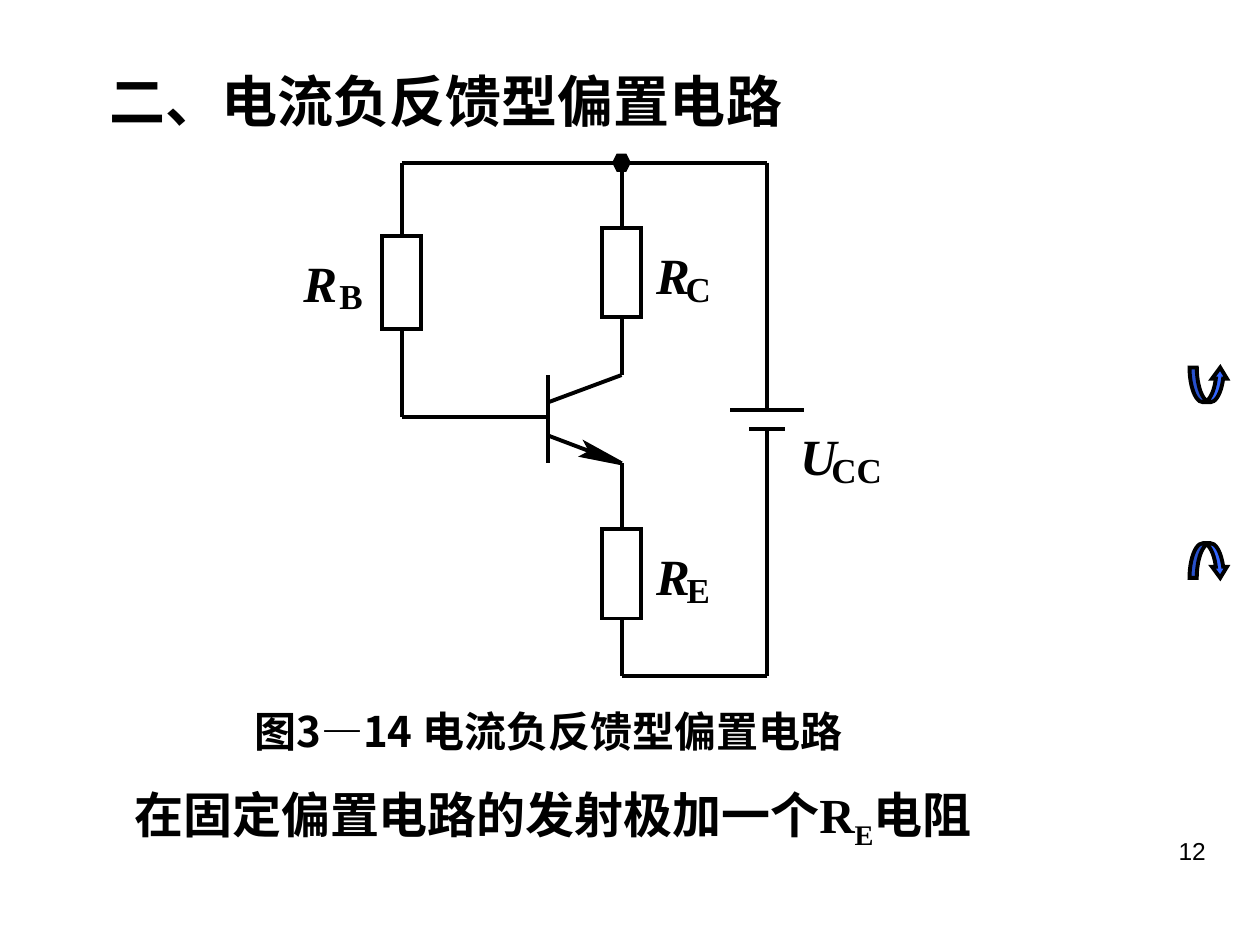
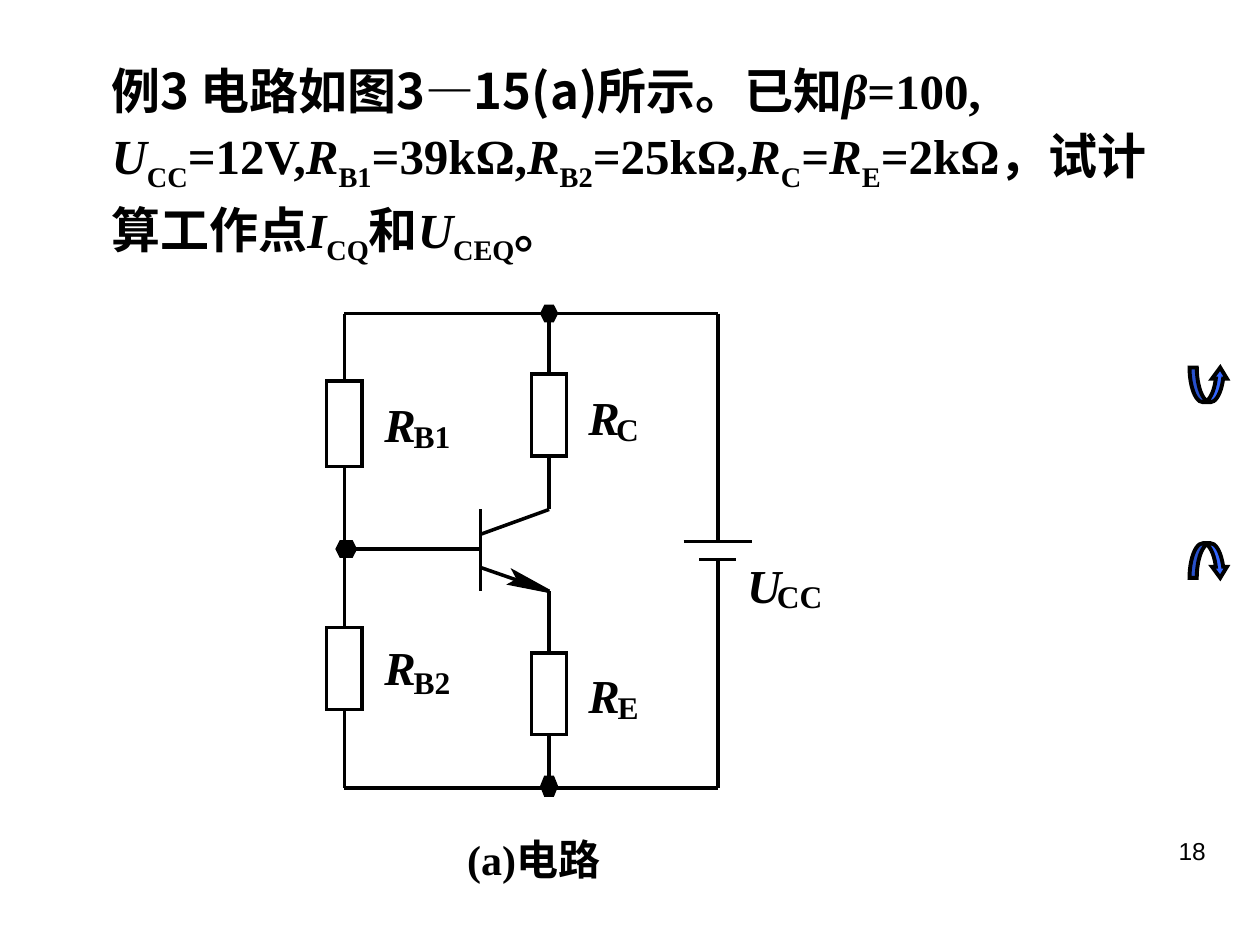
from dataclasses import dataclass

from lxml import etree
from pptx import Presentation
from pptx.dml.color import RGBColor
from pptx.enum.shapes import MSO_CONNECTOR, MSO_SHAPE
from pptx.enum.text import MSO_ANCHOR, MSO_AUTO_SIZE, PP_ALIGN
from pptx.oxml.ns import qn
from pptx.util import Cm, Pt

STRAIGHT = MSO_CONNECTOR.STRAIGHT
RECTANGLE, HEXAGON = MSO_SHAPE.RECTANGLE, MSO_SHAPE.HEXAGON
ARROW_UP, ARROW_DOWN = MSO_SHAPE.CURVED_UP_ARROW, MSO_SHAPE.CURVED_DOWN_ARROW
TOP, MIDDLE, BOTTOM = MSO_ANCHOR.TOP, MSO_ANCHOR.MIDDLE, MSO_ANCHOR.BOTTOM
LEFT, CENTER, RIGHT = PP_ALIGN.LEFT, PP_ALIGN.CENTER, PP_ALIGN.RIGHT
TITLE_ONLY = 5


@dataclass(frozen=True)
class Theme:
    ink: RGBColor = RGBColor(0x00, 0x00, 0x00)
    paper: RGBColor = RGBColor(0xFF, 0xFF, 0xFF)
    arrow: RGBColor = RGBColor(0x33, 0x66, 0xFF)
    serif: str = "Times New Roman"
    chinese: str = "Noto Sans CJK SC"
    sans: str = "Arial"
    title: float = 32
    body: float = 28
    caption: float = 24
    number: float = 14
    outline: float = 2.25


THEME = Theme()

# Letter widths of the label face, in ems
LETTER_WIDTH = {"R": 0.667, "U": 0.722, "B": 0.667, "C": 0.722,
                "E": 0.667, "1": 0.5, "2": 0.5}


@dataclass(frozen=True)
class Circuit:
    """Key positions of one circuit in cm, with its pen and label sizes."""
    left: float
    bar: float
    column: float
    right: float
    top: float
    collector: float
    base: float
    emitter: float
    bottom: float
    plates: tuple        # y of the long and the short battery plate
    plate_halves: tuple  # half lengths of both plates
    resistor_width: float
    pen: float
    symbol: float
    subscript: float
    divider: bool        # the left branch runs on to the bottom rail


# ---- Text ----

def add_run(paragraph, text, size, face=THEME.serif, bold=True,
            italic=False, sub=False):
    run = paragraph.add_run()
    run.text = text
    font = run.font
    font.name, font.size, font.bold, font.italic = face, Pt(size), bold, italic
    font.color.rgb = THEME.ink
    properties = font._element
    if sub:
        properties.set("baseline", "-25000")
    etree.SubElement(properties, qn("a:ea")).set("typeface", THEME.chinese)


def format_frame(shape, align=LEFT, anchor=TOP, wrap=True, inset=True):
    frame = shape.text_frame
    frame.auto_size = MSO_AUTO_SIZE.NONE
    frame.word_wrap = wrap
    frame.vertical_anchor = anchor
    frame.margin_left = frame.margin_right = Cm(0.25 if inset else 0)
    frame.margin_top = frame.margin_bottom = Cm(0.13 if inset else 0)
    paragraph = frame.paragraphs[0]
    paragraph.alignment = align
    paragraph.space_before = Pt(0)
    return paragraph


def text_box(slide, x, y, width, height, **layout):
    box = slide.shapes.add_textbox(Cm(x), Cm(y), Cm(width), Cm(height))
    return format_frame(box, **layout)


def title_paragraph(slide, x, y, width, height, **layout):
    title = slide.shapes.title
    title.left, title.top = Cm(x), Cm(y)
    title.width, title.height = Cm(width), Cm(height)
    return format_frame(title, **layout)


# ---- Drawing ----

def paint(shape, fill, pen):
    shape.shadow.inherit = False
    shape.fill.solid()
    shape.fill.fore_color.rgb = fill
    shape.line.color.rgb = THEME.ink
    shape.line.width = Pt(pen)
    # Sharp corners
    outline = shape._element.spPr.find(qn("a:ln"))
    etree.SubElement(outline, qn("a:miter")).set("lim", "800000")


def add_preset(slide, preset, x, y, width, height, fill, pen):
    shape = slide.shapes.add_shape(preset, Cm(x), Cm(y), Cm(width), Cm(height))
    paint(shape, fill, pen)
    return shape


def wire(slide, pen, x1, y1, x2, y2):
    line = slide.shapes.add_connector(STRAIGHT, Cm(x1), Cm(y1), Cm(x2), Cm(y2))
    line.line.color.rgb = THEME.ink
    line.line.width = Pt(pen)
    etree.SubElement(line._element.spPr, qn("a:effectLst"))


def resistor(slide, circuit, x, y, height):
    width = circuit.resistor_width
    add_preset(slide, RECTANGLE, x - width / 2, y, width, height,
               THEME.paper, circuit.pen)


def junction(slide, circuit, x, y, width=0.29, height=0.29):
    add_preset(slide, HEXAGON, x - width / 2, y - height / 2, width, height,
               THEME.ink, circuit.pen)


def label(slide, circuit, symbol, subscript, x, y, shift, drop):
    parts = ((symbol, circuit.symbol, x, y, True),
             (subscript, circuit.subscript, x + shift, y + drop, False))
    for text, size, left, top, italic in parts:
        ems = sum(LETTER_WIDTH[letter] for letter in text)
        paragraph = text_box(slide, left, top, ems * size * 2.54 / 72,
                             size * 0.042, align=CENTER, anchor=BOTTOM,
                             wrap=False, inset=False)
        add_run(paragraph, text, size, italic=italic)


def transistor(slide, circuit):
    c = circuit
    wire(slide, c.pen, c.bar, c.collector, c.bar, c.emitter)
    wire(slide, c.pen, c.bar, c.base - 0.3, c.column, c.collector)
    wire(slide, c.pen, c.bar, c.base + 0.37, c.column, c.emitter)
    # Emitter arrowhead
    outline = [(-0.76, -0.15), (-0.61, -0.23), (-0.69, -0.38), (0, 0)]
    points = [(Cm(c.column + dx), Cm(c.emitter + dy)) for dx, dy in outline]
    builder = slide.shapes.build_freeform(*points[0])
    builder.add_line_segments(points[1:], close=True)
    paint(builder.convert_to_shape(), THEME.ink, c.pen)


def draw_circuit(slide, circuit, resistors, junctions, labels):
    c = circuit
    left_end = c.bottom if c.divider else c.base
    bottom_start = c.left if c.divider else c.column
    wires = [
        (c.left, c.top, c.right, c.top),
        (c.left, c.top, c.left, left_end),
        (c.left, c.base, c.bar, c.base),
        (c.column, c.top, c.column, c.collector),
        (c.column, c.emitter, c.column, c.bottom),
        (bottom_start, c.bottom, c.right, c.bottom),
        (c.right, c.top, c.right, c.plates[0]),
        (c.right, c.plates[1], c.right, c.bottom),
    ]
    # Battery plates
    wires += [(c.right - half, y, c.right + half, y)
              for y, half in zip(c.plates, c.plate_halves)]
    for ends in wires:
        wire(slide, c.pen, *ends)
    transistor(slide, c)
    for place in resistors:
        resistor(slide, c, *place)
    for place in junctions:
        junction(slide, c, *place)
    for entry in labels:
        label(slide, c, *entry)


# ---- Shared slide parts ----

def new_slide(deck, number):
    slide = deck.slides.add_slide(deck.slide_layouts[TITLE_ONLY])
    for preset, y in ((ARROW_DOWN, 10.95), (ARROW_UP, 7.41)):
        arrow = add_preset(slide, preset, 23.98, y, 0.77, 0.7,
                           THEME.arrow, THEME.outline)
        for index, value in enumerate((0.21, 0.43, 0.32)):
            arrow.adjustments[index] = value
    paragraph = text_box(slide, 18.21, 16.72, 6.35, 1.32, align=RIGHT)
    add_run(paragraph, number, THEME.number, THEME.sans, bold=False)
    return slide


# ---- Slides ----

def feedback_bias_slide(deck):
    slide = new_slide(deck, "12")
    title = title_paragraph(slide, 1.96, 1.21, 14.07, 1.63, align=CENTER,
                            anchor=MIDDLE, wrap=False)
    add_run(title, "二、电流负反馈型偏置电路", THEME.title)

    c = Circuit(left=8.1, bar=11.05, column=12.53, right=15.46, top=3.28,
                collector=7.56, base=8.41, emitter=9.34, bottom=13.62,
                plates=(8.26, 8.65), plate_halves=(0.74, 0.36),
                resistor_width=0.79, pen=2.25, symbol=29, subscript=20,
                divider=False)
    draw_circuit(
        slide, c,
        resistors=[(c.left, 4.75, 1.88), (c.column, 4.6, 1.8),
                   (c.column, 10.67, 1.8)],
        junctions=[(c.column, c.top)],
        labels=[("R", "B", 6.12, 5.08, 0.72, 0.46),
                ("R", "C", 13.23, 4.92, 0.59, 0.48),
                ("R", "E", 13.23, 10.99, 0.61, 0.47),
                ("U", "CC", 16.13, 8.57, 0.63, 0.47)])

    caption = text_box(slide, 4.88, 14.1, 15.7, 1.27, anchor=MIDDLE)
    add_run(caption, "图3―14 电流负反馈型偏置电路", THEME.caption, THEME.chinese)

    remark = text_box(slide, 2.46, 15.69, 18.49, 1.6)
    add_run(remark, "在固定偏置电路的发射极加一个R", THEME.body)
    add_run(remark, "E", THEME.body, sub=True)
    add_run(remark, "电阻", THEME.body)


def example_slide(deck):
    slide = new_slide(deck, "18")
    problem = title_paragraph(slide, 2, 0.97, 22.1, 4.6)
    problem.line_spacing = 1.1
    add_run(problem, "例3 电路如图3―15(a)所示。已知", THEME.body, THEME.chinese)
    # Each quantity: symbol, subscript, the text after it, face of that text
    quantities = [
        ("β", "", "=100, ", THEME.serif),
        ("U", "CC", "=12V,", THEME.serif),
        ("R", "B1", "=39kΩ,", THEME.serif),
        ("R", "B2", "=25kΩ,", THEME.serif),
        ("R", "C", "=", THEME.serif),
        ("R", "E", "=2kΩ", THEME.serif),
        ("", "", "，试计算工作点", THEME.chinese),
        ("I", "CQ", "和", THEME.serif),
        ("U", "CEQ", "。", THEME.chinese),
    ]
    for symbol, subscript, rest, face in quantities:
        if symbol:
            add_run(problem, symbol, THEME.body, italic=True)
        if subscript:
            add_run(problem, subscript, THEME.body, sub=True)
        add_run(problem, rest, THEME.body, face)

    c = Circuit(left=6.94, bar=9.69, column=11.07, right=14.47, top=6.32,
                collector=10.27, base=11.07, emitter=11.92, bottom=15.89,
                plates=(10.92, 11.28), plate_halves=(0.69, 0.37),
                resistor_width=0.71, pen=2, symbol=27, subscript=18,
                divider=True)
    draw_circuit(
        slide, c,
        resistors=[(c.left, 7.68, 1.73), (c.left, 12.65, 1.65),
                   (c.column, 7.54, 1.65), (c.column, 13.16, 1.65)],
        junctions=[(c.column, c.top), (c.left + 0.04, c.base, 0.36),
                   (c.column, c.bottom - 0.04, 0.29, 0.36)],
        labels=[("R", "B1", 7.75, 7.98, 0.59, 0.43),
                ("R", "B2", 7.75, 12.87, 0.59, 0.51),
                ("R", "C", 11.86, 7.84, 0.56, 0.43),
                ("R", "E", 11.86, 13.44, 0.59, 0.43),
                ("U", "CC", 15.06, 11.22, 0.6, 0.42)])

    caption = text_box(slide, 9.07, 16.68, 3.38, 1.27, align=CENTER,
                       anchor=MIDDLE, wrap=False)
    add_run(caption, "(a)电路", THEME.caption)


def main():
    deck = Presentation()
    deck.slide_width, deck.slide_height = Cm(25.4), Cm(19.05)
    feedback_bias_slide(deck)
    example_slide(deck)
    deck.save("out.pptx")


if __name__ == "__main__":
    main()
